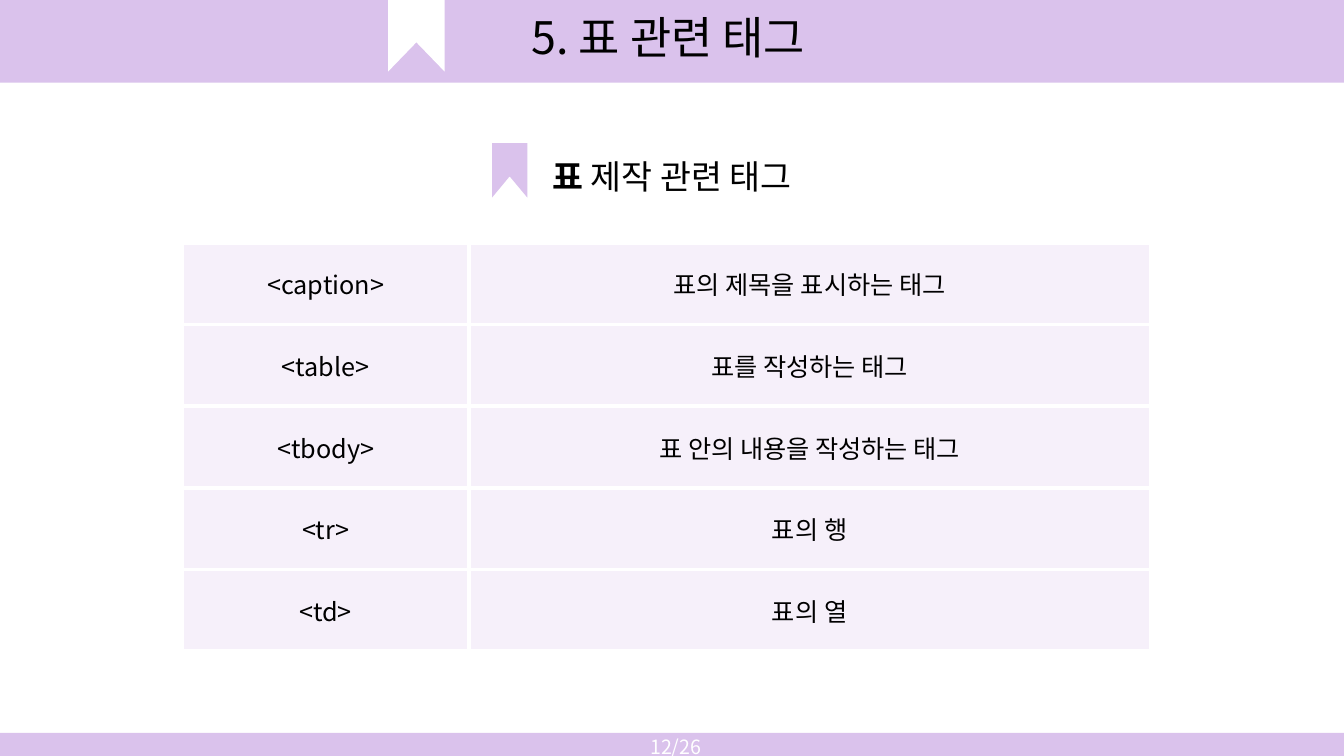
import pptx
import pptx.util
import pptx.dml.color
import pptx.enum.shapes
import pptx.enum.text
import pptx.oxml
import pptx.oxml.ns
from pptx.util import Inches

HUES = {"lilac": "DAC2EC", "pale": "F6F0FA", "white": "FFFFFF", "black": "000000"}
FONT = "Noto Sans CJK KR"
ALIGN = pptx.enum.text.PP_ALIGN
WIDE, HIGH = 13.33, 7.5

ROWS = [
    ("<caption>", "표의 제목을 표시하는 태그"),
    ("<table>", "표를 작성하는 태그"),
    ("<tbody>", "표 안의 내용을 작성하는 태그"),
    ("<tr>", "표의 행"),
    ("<td>", "표의 열"),
]


def rgb(hue):
    return pptx.dml.color.RGBColor.from_string(HUES[hue])


class Page:
    def __init__(self, slide, font):
        self.slide = slide
        self.shapes = slide.shapes
        self.font = font

    def paint(self, shape, hue):
        shape.shadow.inherit = False
        shape.fill.solid()
        shape.fill.fore_color.rgb = rgb(hue)
        shape.line.fill.background()

    def style(self, para, size, hue, align):
        para.alignment = align
        for run in para.runs:
            run.font.size = pptx.util.Pt(size)
            run.font.color.rgb = rgb(hue)
            run.font.name = self.font
            east = pptx.oxml.parse_xml(
                f'<a:ea {pptx.oxml.ns.nsdecls("a")} typeface="{self.font}"/>')
            run.font.element.append(east) if hasattr(run.font, "element") else run._r.get_or_add_rPr().append(east)

    def band(self, top, height):
        rect = pptx.enum.shapes.MSO_SHAPE.RECTANGLE
        bar = self.shapes.add_shape(
            rect, 0, Inches(top), Inches(WIDE), Inches(height))
        self.paint(bar, "lilac")

    def ribbon(self, left, top, width, height, notch, hue):
        right, base = left + width, top + height
        spots = [(right, top), (right, base),
                 (left + width / 2, base - notch), (left, base)]
        pen = self.shapes.build_freeform(Inches(left), Inches(top))
        pen.add_line_segments([(Inches(x), Inches(y)) for x, y in spots])
        self.paint(pen.convert_to_shape(), hue)

    def text(self, box, words, size, hue="black", align=ALIGN.LEFT):
        frame = self.shapes.add_textbox(*map(Inches, box)).text_frame
        frame.word_wrap = True
        frame.auto_size = pptx.enum.text.MSO_AUTO_SIZE.SHAPE_TO_FIT_TEXT
        para = frame.paragraphs[0]
        para.text = words[0]
        for part in words[1:]:
            para.add_run().text = part
        self.style(para, size, hue, align)
        return para

    def edge(self, cell, hue, width):
        props = cell._tc.get_or_add_tcPr()
        for spot, side in enumerate("LRTB"):
            line = pptx.oxml.parse_xml(
                f'<a:ln{side} {pptx.oxml.ns.nsdecls("a")} w="{pptx.util.Pt(width)}">'
                f'<a:solidFill><a:srgbClr val="{HUES[hue]}"/></a:solidFill>'
                f'</a:ln{side}>')
            props.insert(spot, line)

    def table(self, left, top, widths, height, rows):
        grid = self.shapes.add_table(
            len(rows), len(widths), Inches(left), Inches(top),
            Inches(sum(widths)), Inches(height * len(rows))).table
        for col, width in zip(grid.columns, widths):
            col.width = Inches(width)
        for row, words in zip(grid.rows, rows):
            row.height = Inches(height)
            for cell, word in zip(row.cells, words):
                cell.text_frame.text = word
                cell.vertical_anchor = pptx.enum.text.MSO_ANCHOR.MIDDLE
                cell.fill.solid()
                cell.fill.fore_color.rgb = rgb("pale")
                self.edge(cell, "white", 3)
                self.style(cell.text_frame.paragraphs[0], 18, "black", ALIGN.CENTER)


deck = pptx.Presentation()
deck.slide_width, deck.slide_height = Inches(WIDE), Inches(HIGH)
page = Page(deck.slides.add_slide(deck.slide_layouts[6]), FONT)

head = page.text((5.38, 1.3, 7.95, 0.71), ["표 ", "제작 관련 태그"], 24)
head.line_spacing = 1.5
head.space_after = pptx.util.Pt(8)
head.runs[0].font.bold = True

page.band(7.27, 0.23)
page.band(0, 0.82)
page.ribbon(3.85, 0, 0.56, 0.71, 0.29, "white")
page.text((2.66, 0.05, 7.94, 0.64), ["5. 표 관련 태그"], 32, align=ALIGN.CENTER)
page.ribbon(4.88, 1.42, 0.35, 0.54, 0.21, "lilac")
page.table(1.81, 2.41, (2.84, 6.76), 0.81, ROWS)
page.text((6.35, 7.24, 0.97, 0.34), ["12/26"], 14, "white")

deck.save("out.pptx")
